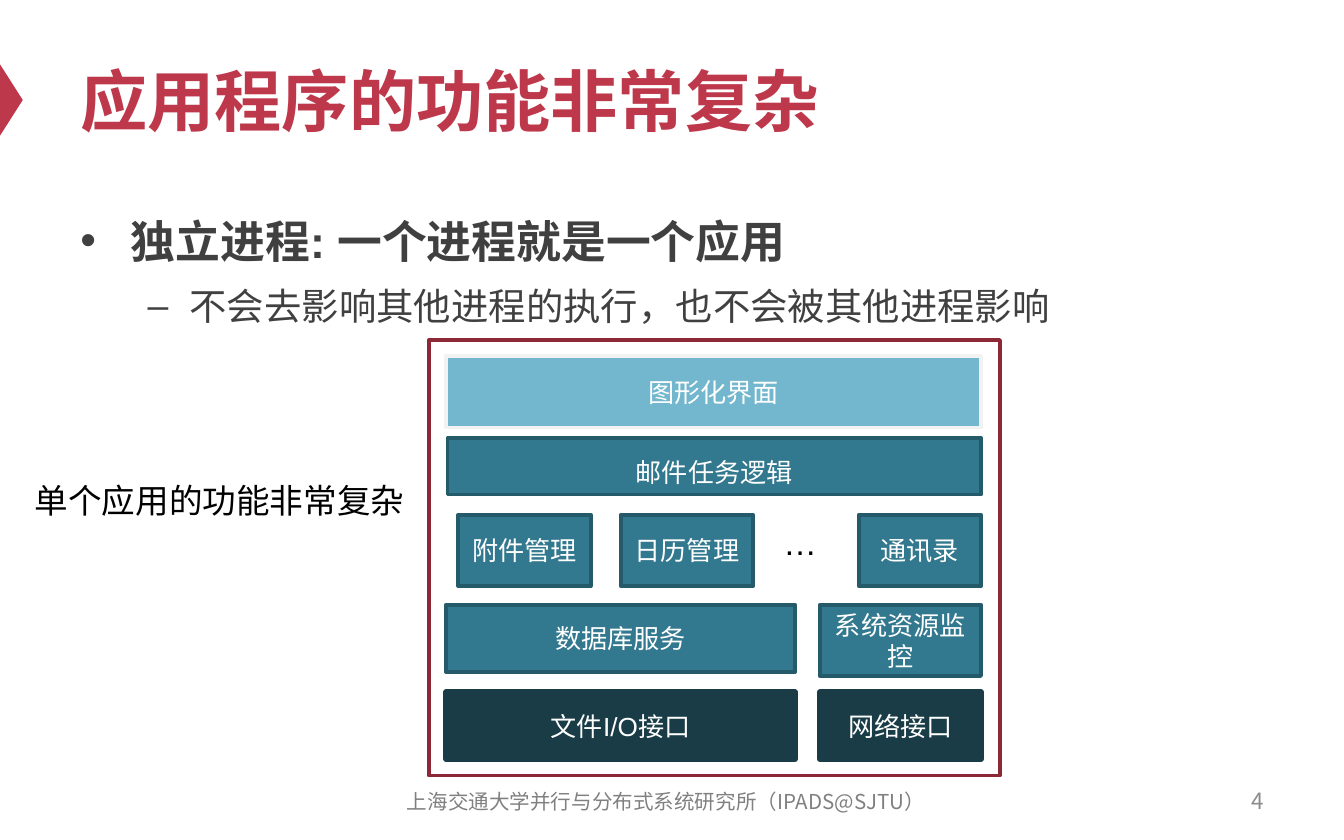
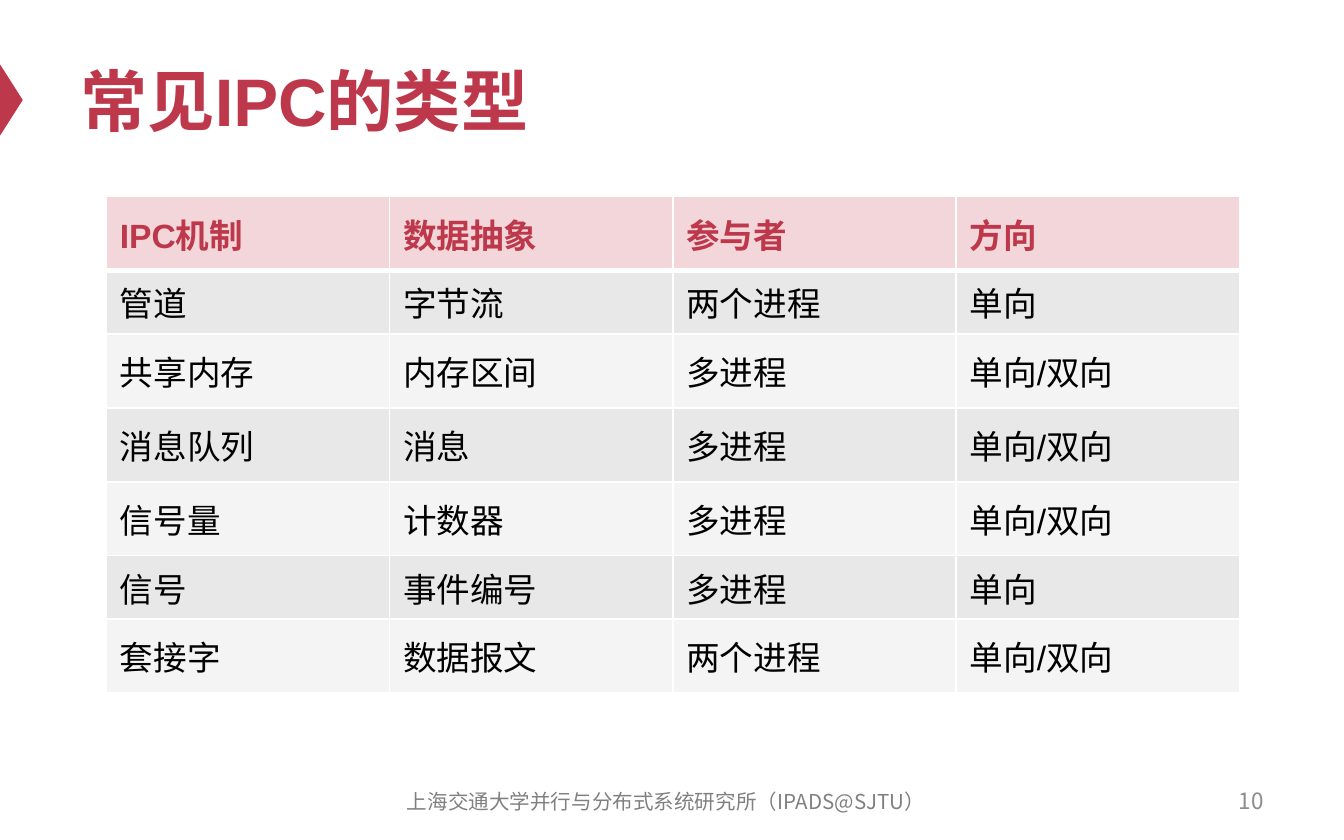
from typing import NamedTuple

from lxml import etree
from pptx import Presentation
from pptx.dml.color import RGBColor
from pptx.enum.shapes import MSO_SHAPE
from pptx.enum.text import MSO_ANCHOR, PP_ALIGN
from pptx.oxml.ns import qn
from pptx.util import Pt

RECTANGLE, TRIANGLE = MSO_SHAPE.RECTANGLE, MSO_SHAPE.ISOSCELES_TRIANGLE
TOP, MIDDLE, BOTTOM = MSO_ANCHOR.TOP, MSO_ANCHOR.MIDDLE, MSO_ANCHOR.BOTTOM
LEFT, CENTER, RIGHT = PP_ALIGN.LEFT, PP_ALIGN.CENTER, PP_ALIGN.RIGHT

LATIN_FONT, CJK_FONT = "Arial", "Noto Sans CJK SC"
CRIMSON, DARK_CRIMSON, PINK = "BE384B", "8D2937", "F3D6DA"
BLACK, WHITE, BODY_GRAY = "000000", "FFFFFF", "404040"
FOOTER_GRAY, NUMBER_GRAY = "808080", "8C8C8C"
BAND_DARK, BAND_LIGHT = "E8E8E8", "F4F4F4"
TEAL, TEAL_EDGE, SKY, PALE, NAVY = "32788E", "255A6A", "72B7CD", "F2F2F2", "193C47"

FOOTER = "上海交通大学并行与分布式系统研究所（IPADS@SJTU）"


class Box(NamedTuple):
    left: float
    top: float
    width: float
    height: float

    def lengths(self):
        return [Pt(value) for value in self]


class TextStyle(NamedTuple):
    size: float
    color: str
    bold: bool = False
    font: str = LATIN_FONT


class Layer(NamedTuple):
    """One kind of block in the application stack."""
    fill: str
    edge: str
    edge_width: float


class Block(NamedTuple):
    label: str
    box: Box
    layer: Layer
    anchor: MSO_ANCHOR = MIDDLE


class Bullet(NamedTuple):
    text: str
    mark: str
    level: int
    indent: float
    hanging: float
    space_before: float
    style: TextStyle


TITLE_STYLE = TextStyle(36, CRIMSON, True)
FOOTER_STYLE = TextStyle(11, FOOTER_GRAY, font=CJK_FONT)
NUMBER_STYLE = TextStyle(12, NUMBER_GRAY, font=CJK_FONT)
BLOCK_STYLE = TextStyle(14, WHITE)
NOTE_STYLE = TextStyle(18, BLACK)
HEADER_STYLE = TextStyle(18, CRIMSON, True)

BULLETS = [
    Bullet("独立进程: 一个进程就是一个应用", "•", 0, 27, 27, 0,
           TextStyle(24, BODY_GRAY, True)),
    Bullet("不会去影响其他进程的执行，也不会被其他进程影响", "–", 1, 58.5, 22.5, 4,
           TextStyle(20, BODY_GRAY)),
]

INTERFACE = Layer(SKY, PALE, 2)
SERVICE = Layer(TEAL, TEAL_EDGE, 2)
SYSTEM = Layer(NAVY, NAVY, 3)
STACK_LEFT, STACK_RIGHT, SIDE_LEFT = 239, 525.6, 439.2
STACK_WIDTH, SIDE_WIDTH = STACK_RIGHT - STACK_LEFT, STACK_RIGHT - SIDE_LEFT
MAIN_WIDTH = 187
MODULE_TOP, MODULE_HEIGHT = 275.8, 38.2
BLOCKS = [
    Block("图形化界面", Box(STACK_LEFT, 190.8, STACK_WIDTH, 38.2), INTERFACE),
    Block("邮件任务逻辑", Box(STACK_LEFT + 0.8, 234.7, STACK_WIDTH - 0.8, 30.2), SERVICE, BOTTOM),
    Block("附件管理", Box(245.5, MODULE_TOP, 71, MODULE_HEIGHT), SERVICE),
    Block("日历管理", Box(332.5, MODULE_TOP, 71, MODULE_HEIGHT), SERVICE),
    Block("通讯录", Box(460, MODULE_TOP, 65.6, MODULE_HEIGHT), SERVICE),
    Block("数据库服务", Box(STACK_LEFT, 324, MAIN_WIDTH, 36), SERVICE),
    Block("系统资源监控", Box(SIDE_LEFT, 324, SIDE_WIDTH, 38.2), SERVICE),
    Block("文件I/O接口", Box(STACK_LEFT, 370.8, MAIN_WIDTH, 36), SYSTEM),
    Block("网络接口", Box(SIDE_LEFT, 370.8, SIDE_WIDTH, 36), SYSTEM),
]

IPC_TABLE = [
    ("IPC机制", "数据抽象", "参与者", "方向"),
    ("管道", "字节流", "两个进程", "单向"),
    ("共享内存", "内存区间", "多进程", "单向/双向"),
    ("消息队列", "消息", "多进程", "单向/双向"),
    ("信号量", "计数器", "多进程", "单向/双向"),
    ("信号", "事件编号", "多进程", "单向"),
    ("套接字", "数据报文", "两个进程", "单向/双向"),
]
COLUMN_WIDTH, TALL_ROW, SHORT_ROW = 151.75, 39.6, 34


def rgb(color: str) -> RGBColor:
    return RGBColor.from_string(color)


def style_paragraph(paragraph, style: TextStyle, align=LEFT) -> None:
    paragraph.alignment = align
    font = paragraph.font
    font.size, font.bold, font.name = Pt(style.size), style.bold, style.font
    font.color.rgb = rgb(style.color)
    defaults = paragraph._p.pPr.find(qn("a:defRPr"))
    etree.SubElement(defaults, qn("a:ea"), typeface=CJK_FONT)


def write(frame, text: str, style: TextStyle, align=LEFT, anchor=MIDDLE, wrap=True) -> None:
    frame.word_wrap = wrap
    frame.vertical_anchor = anchor
    frame.paragraphs[0].text = text
    style_paragraph(frame.paragraphs[0], style, align)


def add_text(slide, box: Box, text: str, style: TextStyle, align=LEFT,
             anchor=MIDDLE, wrap=True) -> None:
    frame = slide.shapes.add_textbox(*box.lengths()).text_frame
    write(frame, text, style, align, anchor, wrap)


def add_plain_shape(slide, kind, box: Box, fill: str = "", edge: str = "", edge_width: float = 0):
    """Add a shape without shadow; an empty colour leaves that part undrawn."""
    shape = slide.shapes.add_shape(kind, *box.lengths())
    shape.shadow.inherit = False
    if fill:
        shape.fill.solid()
        shape.fill.fore_color.rgb = rgb(fill)
    else:
        shape.fill.background()
    if edge:
        shape.line.color.rgb = rgb(edge)
        shape.line.width = Pt(edge_width)
    else:
        shape.line.fill.background()
    return shape


def add_block(slide, block: Block) -> None:
    shape = add_plain_shape(slide, RECTANGLE, block.box, *block.layer)
    write(shape.text_frame, block.label, BLOCK_STYLE, CENTER, block.anchor)


def add_bullets(slide, box: Box, bullets: list[Bullet]) -> None:
    frame = slide.shapes.add_textbox(*box.lengths()).text_frame
    frame.word_wrap = True
    for index, bullet in enumerate(bullets):
        paragraph = frame.add_paragraph() if index else frame.paragraphs[0]
        paragraph.text = bullet.text
        paragraph.level = bullet.level
        paragraph.line_spacing = 1.2
        paragraph.space_before = Pt(bullet.space_before)
        properties = paragraph._p.get_or_add_pPr()
        properties.set("marL", str(Pt(bullet.indent)))
        properties.set("indent", str(-Pt(bullet.hanging)))
        etree.SubElement(properties, qn("a:buFont"), typeface=LATIN_FONT)
        etree.SubElement(properties, qn("a:buChar"), char=bullet.mark)
        style_paragraph(paragraph, bullet.style)


def set_cell_borders(cell, bottom_width: float) -> None:
    """Draw white borders; they must precede the cell fill."""
    properties = cell._tc.get_or_add_tcPr()
    for side, width in (("L", 1), ("R", 1), ("T", 1), ("B", bottom_width)):
        line = etree.SubElement(properties, qn(f"a:ln{side}"), w=str(Pt(width)))
        fill = etree.SubElement(line, qn("a:solidFill"))
        etree.SubElement(fill, qn("a:srgbClr"), val=WHITE)


def add_ipc_table(slide) -> None:
    heights = [SHORT_ROW if row[-1] == "单向" else TALL_ROW for row in IPC_TABLE]
    column_count = len(IPC_TABLE[0])
    box = Box(57, 105.3, COLUMN_WIDTH * column_count, sum(heights))
    table = slide.shapes.add_table(len(IPC_TABLE), column_count, *box.lengths()).table
    for column in table.columns:
        column.width = Pt(COLUMN_WIDTH)
    for r, (texts, height) in enumerate(zip(IPC_TABLE, heights)):
        table.rows[r].height = Pt(height)
        band = PINK if r == 0 else BAND_DARK if r % 2 else BAND_LIGHT
        for c, text in enumerate(texts):
            cell = table.cell(r, c)
            set_cell_borders(cell, 1 if r else 3)
            cell.fill.solid()
            cell.fill.fore_color.rgb = rgb(band)
            cell.vertical_anchor = MIDDLE
            cell.text = text
            style_paragraph(cell.text_frame.paragraphs[0], NOTE_STYLE if r else HEADER_STYLE)


def add_base_slide(deck, title: str, number: int):
    """Add a slide with the marker, title, page number and footer."""
    slide = deck.slides.add_slide(deck.slide_layouts[6])
    marker = add_plain_shape(slide, TRIANGLE, Box(-13, 47.5, 38.2, 12.2), CRIMSON)
    marker.rotation = 90
    add_text(slide, Box(36, 18, 648, 70.6), title, TITLE_STYLE)
    add_text(slide, Box(516.2, 416.9, 167.8, 23.8), str(number), NUMBER_STYLE, RIGHT)
    add_text(slide, Box(200.9, 417.6, 311.8, 23.8), FOOTER, FOOTER_STYLE, CENTER)
    return slide


def add_application_slide(deck) -> None:
    slide = add_base_slide(deck, "应用程序的功能非常复杂", 4)
    add_bullets(slide, Box(36, 105, 648, 296.6), BULLETS)
    for block in BLOCKS:
        add_block(slide, block)
    add_text(slide, Box(412.6, 275.8, 32.4, 28.8), "…", NOTE_STYLE, anchor=TOP, wrap=False)
    add_plain_shape(slide, RECTANGLE, Box(229.7, 182.2, 306, 233.3),
                    edge=DARK_CRIMSON, edge_width=2)
    add_text(slide, Box(11.5, 253.4, 214.6, 28.8), "单个应用的功能非常复杂",
             NOTE_STYLE, anchor=TOP, wrap=False)


def add_ipc_slide(deck) -> None:
    add_ipc_table(add_base_slide(deck, "常见IPC的类型", 10))


def main() -> None:
    deck = Presentation()
    deck.slide_width, deck.slide_height = Pt(720), Pt(450)
    add_application_slide(deck)
    add_ipc_slide(deck)
    deck.save("out.pptx")


if __name__ == "__main__":
    main()
